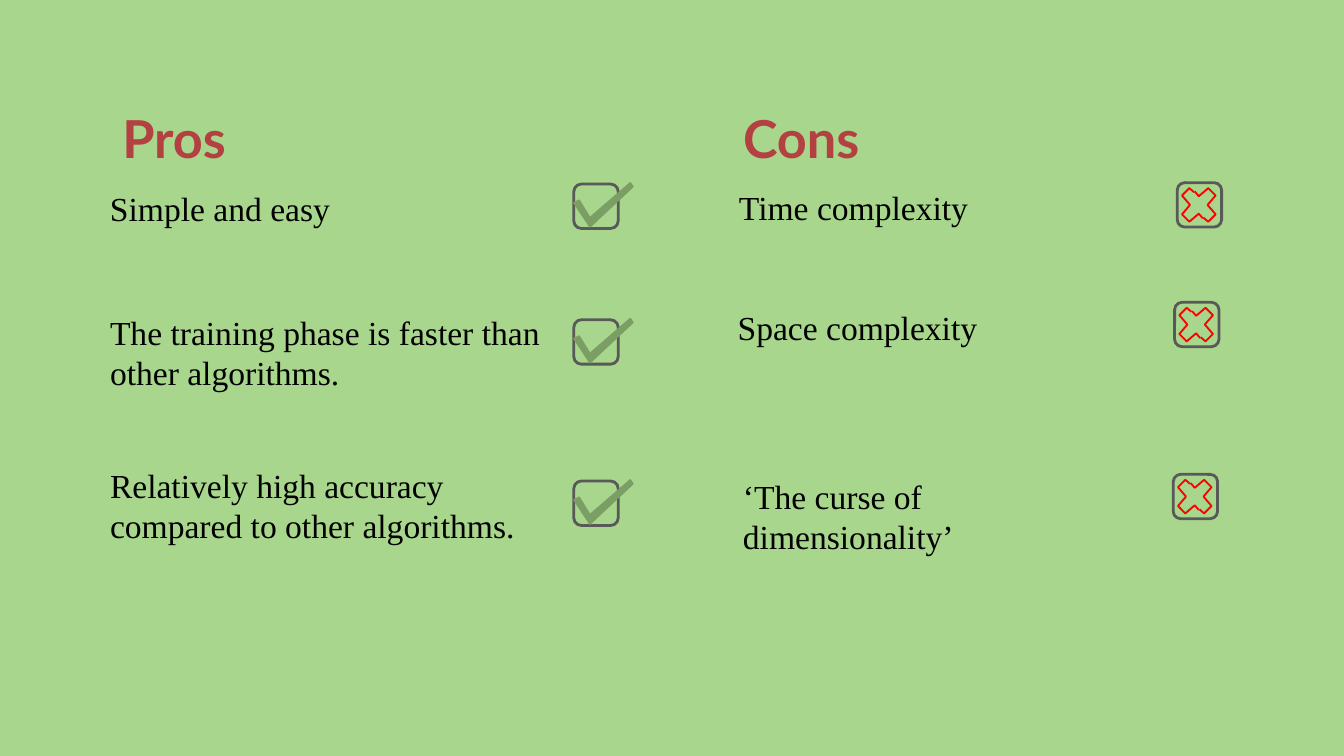
import pptx
import pptx.util
import pptx.dml.color
import pptx.enum.shapes
import pptx.enum.text

RGB = pptx.dml.color.RGBColor
GREEN = RGB(0xA8, 0xD6, 0x8C)
ROSE = RGB(0xB4, 0x41, 0x41)
GREY = RGB(0x59, 0x59, 0x59)
MOSS = RGB(0x7A, 0x9E, 0x64)
RED = RGB(0xFF, 0x00, 0x00)
BLACK = RGB(0x00, 0x00, 0x00)

# Grid: 100 columns across, square cells
WIDTH = pptx.util.Inches(10)
HEIGHT = WIDTH * 9 // 16
CELL = WIDTH / 100

# Sign outlines, in cells from the corner of the box
TICK = [(4.2, -0.1), (1.2, 2.5), (0.4, 1.2), (0, 1.4), (1.2, 3.2), (4.4, 0.2)]
# Right strand of the cross, from the middle; the left one is its half turn
STRAND = [(-0.3, -1), (0, -0.65), (0.7, -1.25), (1.25, -0.7),
          (0.65, 0), (1.25, 0.7), (0.7, 1.25), (0.35, 0.95)]
CROSS = [[(1.6 + turn * x, 1.65 + turn * y) for x, y in STRAND]
         for turn in (1, -1)]

# Text, column, row, width, then column and row of the mark
PROS = [
    ("Simple and easy", 7.2, 13, 30.6, 42.7, 13.7),
    ("The training phase is faster than other algorithms.",
     7.2, 22.2, 35.5, 42.7, 23.8),
    ("Relatively high accuracy compared to other algorithms.",
     7.2, 33.6, 35.5, 42.7, 35.8),
]
CONS = [
    ("Time complexity", 54, 12.9, 29.2, 87.6, 13.6),
    ("Space complexity", 53.9, 21.8, 29.2, 87.4, 22.5),
    ("‘The curse of dimensionality’", 54.3, 34.4, 31.6, 87.3, 35.3),
]


def cells(*nums):
    return [round(n * CELL) for n in nums]


def write(shape, text, font, size, color, bold, space):
    frame = shape.text_frame
    frame.word_wrap = True
    frame.auto_size = pptx.enum.text.MSO_AUTO_SIZE.NONE
    frame.vertical_anchor = pptx.enum.text.MSO_ANCHOR.TOP
    frame.margin_left, frame.margin_top = cells(1, 1)
    frame.margin_right, frame.margin_bottom = cells(1, 1)
    para = frame.paragraphs[0]
    para.alignment = pptx.enum.text.PP_ALIGN.LEFT
    para.line_spacing = space
    run = para.add_run()
    run.text = text
    run.font.name = font
    run.font.size = pptx.util.Pt(size)
    run.font.bold = bold
    run.font.color.rgb = color


def head(shape, text, col):
    shape.left, shape.top, shape.width, shape.height = cells(
        col, 7.8, 35.5, 12.8)
    write(shape, text, "Lato", 28, ROSE, True, 0.8)


def item(slide, text, col, row, wide):
    box = slide.shapes.add_textbox(*cells(col, row, wide, 7.8))
    write(box, text, "Times New Roman", 18, BLACK, False, 1.0)


def style(shape, fill, line, weight):
    shape.shadow.inherit = False
    if fill is None:
        shape.fill.background()
    else:
        shape.fill.solid()
        shape.fill.fore_color.rgb = fill
    shape.line.color.rgb = line
    shape.line.width = pptx.util.Pt(weight)


def mark(slide, col, row, signs, fill, line, weight):
    group = slide.shapes.add_group_shape()
    # Rounded box
    box = group.shapes.add_shape(
        pptx.enum.shapes.MSO_SHAPE.ROUNDED_RECTANGLE,
        *cells(col, row, 3.3, 3.3))
    style(box, None, GREY, 1.5)
    # Sign inside it: closed when filled, else an open strand
    for points in signs:
        path = [cells(col + x, row + y) for x, y in points]
        pen = group.shapes.build_freeform(*path[0], scale=1.0)
        pen.add_line_segments(path[1:], close=fill is not None)
        style(pen.convert_to_shape(), fill, line, weight)


def main():
    deck = pptx.Presentation()
    deck.slide_width, deck.slide_height = WIDTH, HEIGHT
    slide = deck.slides.add_slide(deck.slide_layouts.get_by_name("Title Only"))
    slide.background.fill.solid()
    slide.background.fill.fore_color.rgb = GREEN

    # Headings
    head(slide.shapes.title, "Pros", 8.1)
    head(slide.shapes.add_textbox(0, 0, 0, 0), "Cons", 54.3)

    # Both lists with their marks
    for rows, sign in ((PROS, ([TICK], MOSS, MOSS, 0.75)),
                       (CONS, (CROSS, None, RED, 1))):
        for text, col, row, wide, x, y in rows:
            item(slide, text, col, row, wide)
            mark(slide, x, y, *sign)

    deck.save("out.pptx")


if __name__ == "__main__":
    main()
